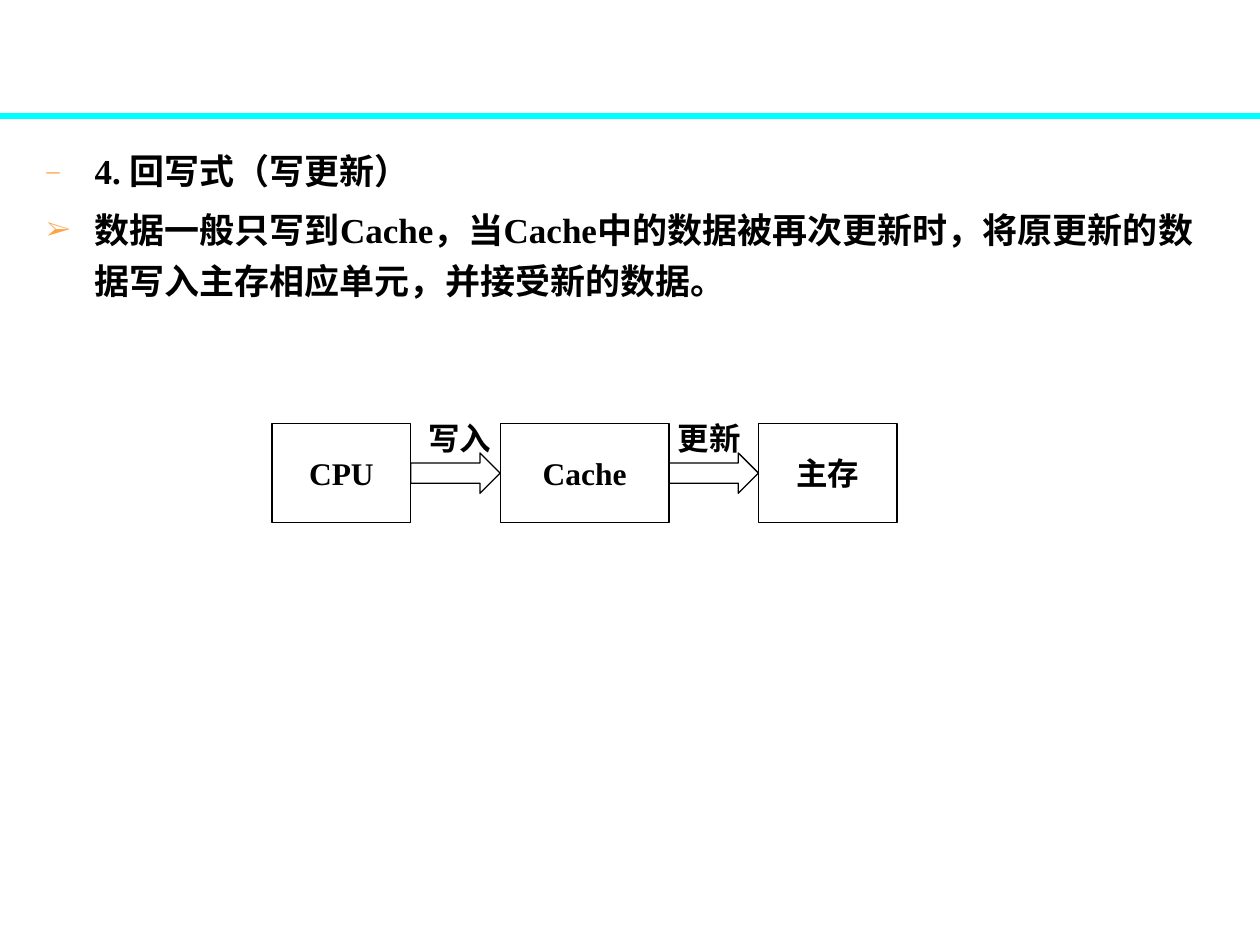
from lxml import etree
from pptx import Presentation
from pptx.dml.color import RGBColor
from pptx.enum import shapes, text
from pptx.oxml.ns import qn
from pptx.util import Inches, Pt

LATIN, CJK = "Times New Roman", "Noto Sans CJK SC"
BLACK, CYAN, ORANGE = "000000", "00FFFF", "FFA347"


def color(hex_code):
    return RGBColor.from_string(hex_code)


def write(paragraph, content, size=18, font=LATIN, fill=BLACK, bold=True, align=None):
    paragraph.alignment = align
    run = paragraph.add_run()
    run.text = content
    run.font.size, run.font.bold, run.font.name = Pt(size), bold, font
    run.font.color.rgb = color(fill)
    east_asian = etree.SubElement(run.font._element, qn("a:ea"))
    east_asian.set("typeface", CJK)


def add_bullet(paragraph, mark, indent):
    props = paragraph._p.get_or_add_pPr()
    props.set("marL", str(indent))
    props.set("indent", str(-indent))
    bullet_color = etree.SubElement(props, qn("a:buClr"))
    etree.SubElement(bullet_color, qn("a:srgbClr")).set("val", ORANGE)
    etree.SubElement(props, qn("a:buSzPct")).set("val", "75000")
    etree.SubElement(props, qn("a:buFont")).set("typeface", LATIN)
    etree.SubElement(props, qn("a:buChar")).set("char", mark)


def add_header_rule(slide, left, top, width):
    rule = slide.shapes.add_connector(
        shapes.MSO_CONNECTOR.STRAIGHT,
        Inches(left), Inches(top), Inches(left + width), Inches(top))
    rule.line.color.rgb = color(CYAN)
    rule.line.width = Pt(3)
    etree.SubElement(rule._element.spPr, qn("a:effectLst"))


def fill_body(slide, left, top, width, height, points):
    body = slide.placeholders[1]
    body.left, body.top = Inches(left), Inches(top)
    body.width, body.height = Inches(width), Inches(height)
    frame = body.text_frame
    frame.auto_size = text.MSO_AUTO_SIZE.NONE
    for i, (mark, content) in enumerate(points):
        point = frame.add_paragraph() if i else frame.paragraphs[0]
        point.level = 1
        add_bullet(point, mark, Inches(0.38))
        point.line_spacing = 1.2
        point.space_before = Pt(5 if i else 0)
        write(point, content, size=20)


def add_outline(slide, kind, left, top, width, height):
    outline = slide.shapes.add_shape(
        kind, Inches(left), Inches(top), Inches(width), Inches(height))
    outline.shadow.inherit = False
    outline.fill.background()
    outline.line.color.rgb = color(BLACK)
    outline.line.width = Pt(0.75)
    return outline


def write_centered(shape, content, font):
    frame = shape.text_frame
    frame.word_wrap = True
    frame.vertical_anchor = text.MSO_ANCHOR.MIDDLE
    write(frame.paragraphs[0], content, font=font, align=text.PP_ALIGN.CENTER)


def add_write_flow(slide, left, top, height, units, transfers):
    gap, arrow_height = 0.71, 0.32
    label_width, label_height = 0.94, 0.55
    # Memory units, with an arrow filling each gap
    x = left
    gap_starts = []
    for i, (unit, width, font) in enumerate(units):
        box = add_outline(slide, shapes.MSO_SHAPE.RECTANGLE, x, top, width, height)
        write_centered(box, unit, font)
        x += width
        if i < len(transfers):
            add_outline(slide, shapes.MSO_SHAPE.RIGHT_ARROW, x,
                        top + (height - arrow_height) / 2, gap, arrow_height)
            gap_starts.append(x)
            x += gap
    # Transfer names above the arrows
    for start, (transfer, shift) in zip(gap_starts, transfers):
        label = slide.shapes.add_textbox(
            Inches(start + shift), Inches(top - 0.16),
            Inches(label_width), Inches(label_height))
        write_centered(label, transfer, CJK)


def main():
    prs = Presentation()
    prs.slide_width, prs.slide_height = Inches(10), Inches(7.5)
    slide = prs.slides.add_slide(prs.slide_layouts[1])
    title = slide.shapes.title._element
    title.getparent().remove(title)

    add_header_rule(slide, 0, 0.92, 10)
    fill_body(slide, 0.27, 1.07, 9.37, 1.57, [
        ("–", "4. 回写式（写更新）"),
        ("➢", "数据一般只写到Cache，当Cache中的数据被再次更新时，"
              "将原更新的数据写入主存相应单元，并接受新的数据。"),
    ])
    add_write_flow(
        slide, 2.16, 3.36, 0.79,
        units=[("CPU", 1.1, LATIN), ("Cache", 1.34, LATIN), ("主存", 1.1, CJK)],
        transfers=[("写入", -0.08), ("更新", -0.15)])
    prs.save("out.pptx")


if __name__ == "__main__":
    main()
